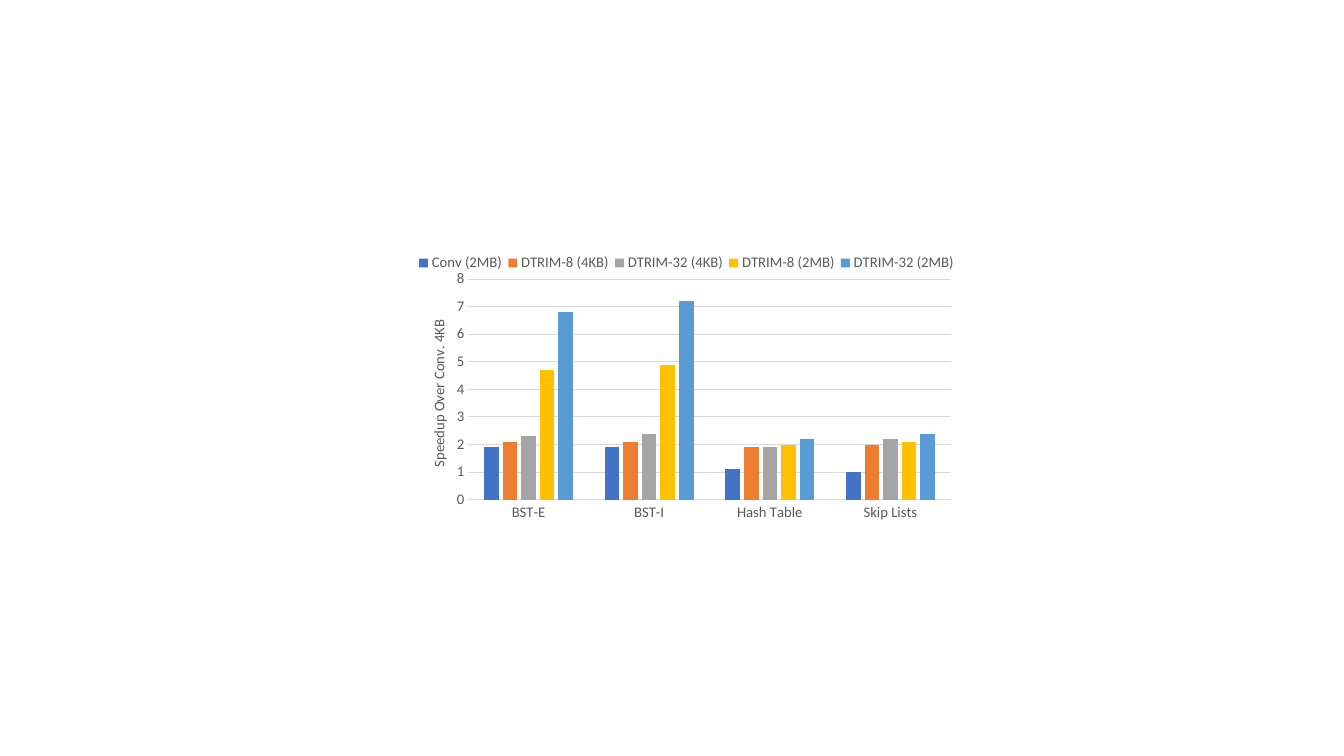
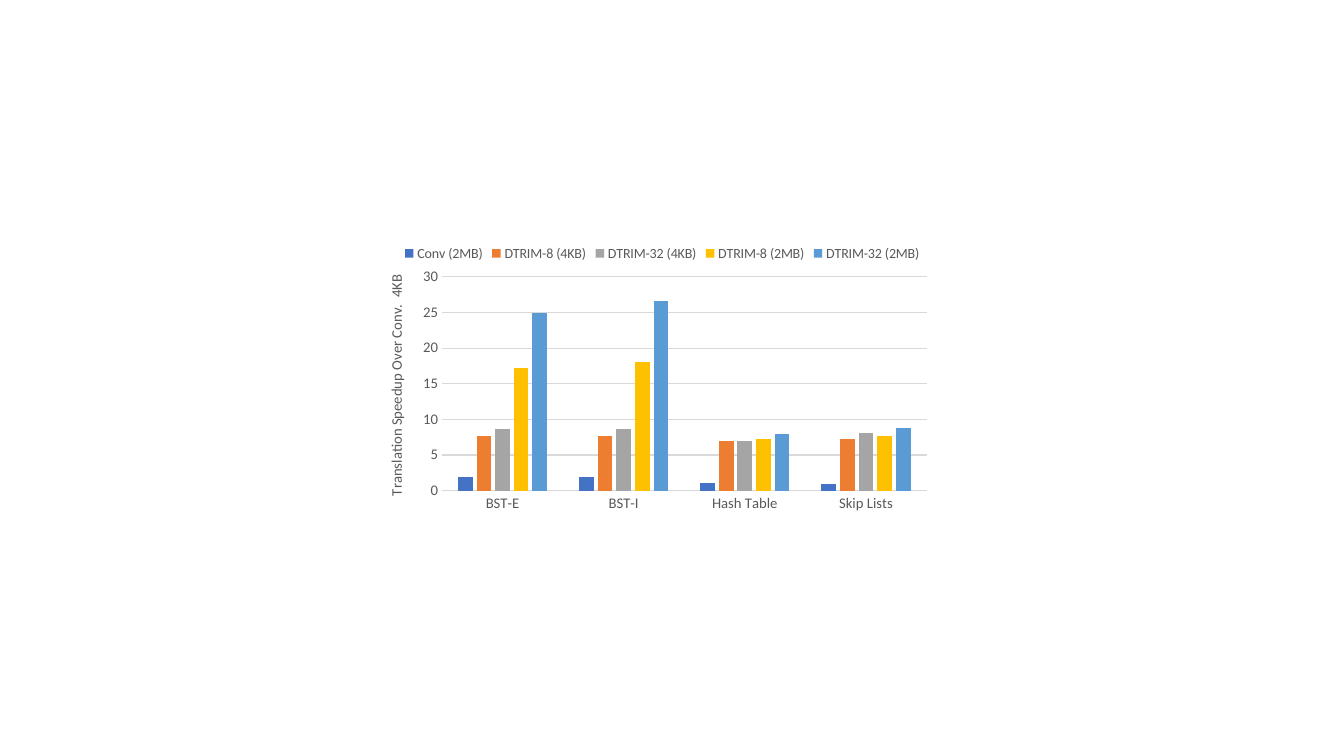
import pptx
import pptx.chart.data
import pptx.dml.color
import pptx.enum.chart
import pptx.oxml
import pptx.oxml.ns
import pptx.util

SLIDE_SIZE = 13.33, 7.5
FONT, TEXT, GRID = "Calibri", "595959", "D9D9D9"
AXIS_SIZE = 10.5
STRUCTURES = ["BST-E", "BST-I", "Hash Table", "Skip Lists"]
SCHEMES = [
    ("Conv (2MB)", "4472C4"),
    ("DTRIM-8 (4KB)", "ED7D31"),
    ("DTRIM-32 (4KB)", "A5A5A5"),
    ("DTRIM-8 (2MB)", "FFC000"),
    ("DTRIM-32 (2MB)", "5B9BD5"),
]

# frame is in inches; the parts inside it are shares of the frame
CHARTS = [
    {
        "axis_title": "Speedup Over Conv. 4KB",
        "frame": (4.04, 2.25, 5.54, 3),
        "plot": (0.109, 0.173, 0.864, 0.73),
        "title_at": (0.034, 0.298),
        "legend": (0.01, 0.08, 0.98, 0.08),
        "legend_size": 10.5,
        "top": 8, "step": 1,
        "speedups": [
            (1.9, 1.9, 1.1, 1),
            (2.1, 2.1, 1.9, 2),
            (2.3, 2.4, 1.9, 2.2),
            (4.7, 4.9, 2, 2.1),
            (6.8, 7.2, 2.2, 2.4),
        ],
    },
    {
        "axis_title": "Translation Speedup Over Conv.  4KB",
        "frame": (3.69, 2.27, 5.59, 2.96),
        "plot": (0.124, 0.161, 0.86, 0.717),
        "title_at": (0.021, 0.145),
        "legend": (0.05, 0.04, 0.93, 0.085),
        "legend_size": 10,
        "top": 30, "step": 5,
        "speedups": [
            (1.9, 1.9, 1.1, 1),
            (7.6, 7.6, 6.9, 7.3),
            (8.6, 8.7, 7, 8.1),
            (17.2, 18, 7.2, 7.6),
            (24.9, 26.6, 7.9, 8.8),
        ],
    },
]


def rgb(value):
    return pptx.dml.color.RGBColor.from_string(value)


def style_font(font, size):
    font.name, font.size, font.bold = FONT, pptx.util.Pt(size), False
    font.color.rgb = rgb(TEXT)


def style_line(line):
    line.color.rgb = rgb(GRID)
    line.width = pptx.util.Pt(0.75)


def place(part, shares, after=None, inner=False):
    """Give a chart part a fixed place, as shares of the chart frame."""
    qn = pptx.oxml.ns.qn
    for old in part.findall(qn("c:layout")):
        part.remove(old)
    settings = [("layoutTarget", "inner")] if inner else []
    settings += [("xMode", "edge"), ("yMode", "edge")]
    settings += zip("xywh", shares)
    body = "".join(f'<c:{tag} val="{value}"/>' for tag, value in settings)
    layout = pptx.oxml.parse_xml(
        f'<c:layout {pptx.oxml.ns.nsdecls("c")}>'
        f"<c:manualLayout>{body}</c:manualLayout></c:layout>")
    if after:
        part.find(qn(after)).addnext(layout)
    else:
        part.insert(0, layout)


def style_axes(chart, content):
    for axis in (chart.category_axis, chart.value_axis):
        axis.major_tick_mark = pptx.enum.chart.XL_TICK_MARK.NONE
        axis.minor_tick_mark = pptx.enum.chart.XL_TICK_MARK.NONE
        style_font(axis.tick_labels.font, AXIS_SIZE)
    style_line(chart.category_axis.format.line)

    speedup = chart.value_axis
    speedup.minimum_scale, speedup.maximum_scale = 0, content["top"]
    speedup.major_unit = content["step"]
    speedup.format.line.fill.background()
    style_line(speedup.major_gridlines.format.line)
    speedup.tick_labels.number_format = "General"
    speedup.tick_labels.number_format_is_linked = False

    title = speedup.axis_title
    title.text_frame.text = content["axis_title"]
    style_font(title.text_frame.paragraphs[0].font, AXIS_SIZE)
    title._element.find(".//" + pptx.oxml.ns.qn("a:bodyPr")).set("rot", "-5400000")
    place(title._element, content["title_at"], after="c:tx")


def add_speedup_chart(slide, content):
    data = pptx.chart.data.CategoryChartData()
    data.categories = STRUCTURES
    for (scheme, _), values in zip(SCHEMES, content["speedups"]):
        data.add_series(scheme, values)
    chart = slide.shapes.add_chart(
        pptx.enum.chart.XL_CHART_TYPE.COLUMN_CLUSTERED,
        *map(pptx.util.Inches, content["frame"]), data).chart
    chart.has_title = False
    style_font(chart.font, content["legend_size"])

    columns = chart.plots[0]
    columns.gap_width, columns.overlap = 219, -27
    columns.vary_by_categories = False
    for series, (_, color) in zip(columns.series, SCHEMES):
        series.format.fill.solid()
        series.format.fill.fore_color.rgb = rgb(color)
    plot_area = chart._chartSpace.find(".//" + pptx.oxml.ns.qn("c:plotArea"))
    place(plot_area, content["plot"], inner=True)

    style_axes(chart, content)

    chart.has_legend = True
    legend = chart.legend
    legend.position = pptx.enum.chart.XL_LEGEND_POSITION.TOP
    legend.include_in_layout = False
    style_font(legend.font, content["legend_size"])
    place(legend._element, content["legend"], after="c:legendPos")


def main():
    deck = pptx.Presentation()
    deck.slide_width, deck.slide_height = map(pptx.util.Inches, SLIDE_SIZE)
    blank = deck.slide_layouts[6]
    for content in CHARTS:
        add_speedup_chart(deck.slides.add_slide(blank), content)
    deck.save("out.pptx")


if __name__ == "__main__":
    main()
